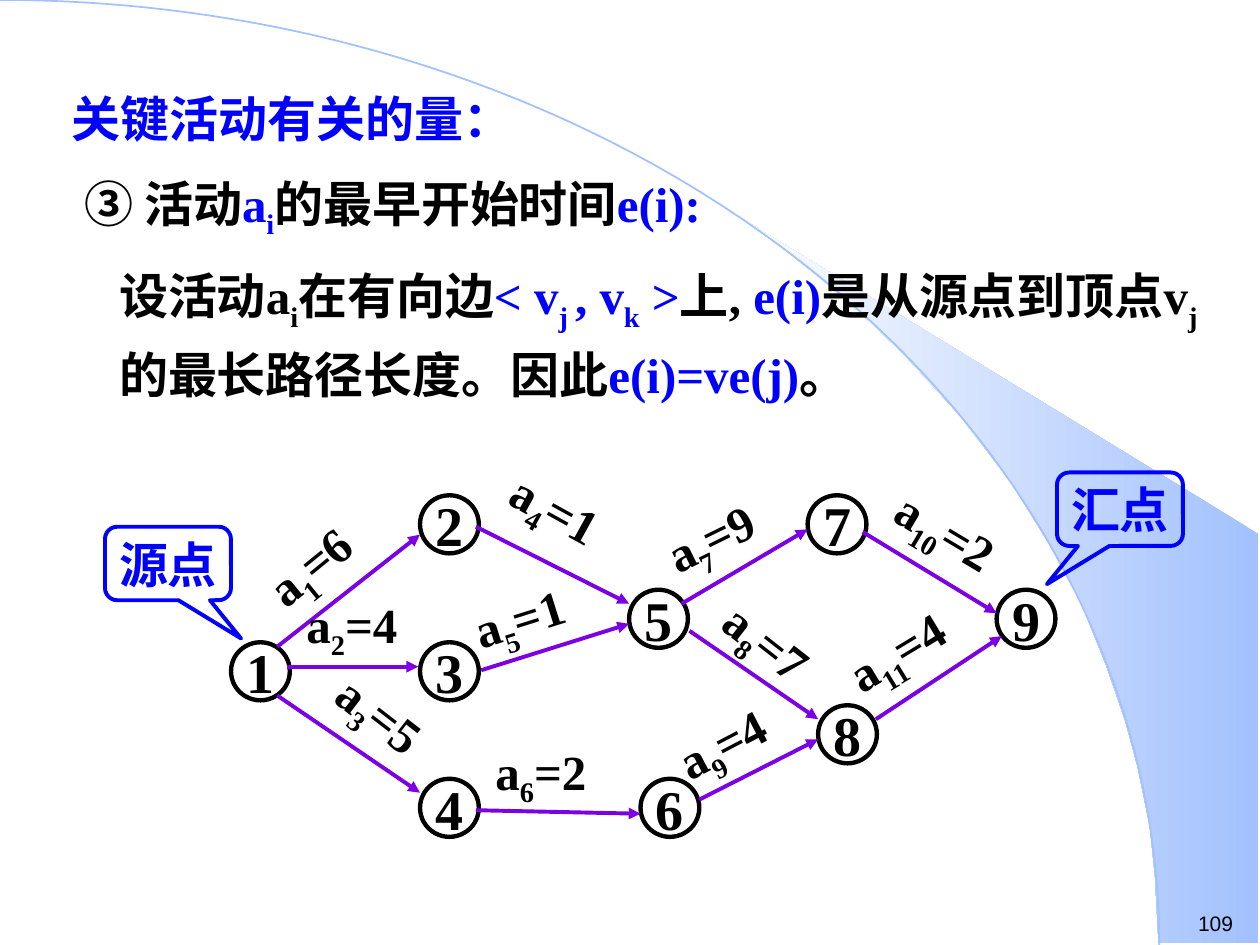
from dataclasses import dataclass

from lxml import etree
from pptx import Presentation
from pptx import util as u
from pptx.dml import color
from pptx.enum import shapes, text
from pptx.oxml import ns


@dataclass(frozen=True)
class Theme:
    """Colours, fonts and type sizes of the slide."""
    ink: str = "000000"
    accent: str = "0000FF"
    arrow: str = "7B00E4"
    sky: str = "A2C1FE"
    pale: str = "FEFEFE"
    serif: str = "Times New Roman"
    sans: str = "Arial"
    body: int = 28
    node: int = 32
    small: int = 12


THEME = Theme()
KIND = shapes.MSO_SHAPE
LABEL = (102, 45)
NODE = (33.6, 33.2)
CALLOUT = (72, 42)

HEADING = [("关键活动有关的量：", THEME.accent, False)]
TOPIC = [
    ("③ 活动", THEME.ink, False), ("a", THEME.accent, False),
    ("i", THEME.accent, True), ("的最早开始时间", THEME.ink, False),
    ("e(i):", THEME.accent, False),
]
DEFINITION = [
    ("设活动a", THEME.ink, False), ("i", THEME.ink, True),
    ("在有向边", THEME.ink, False), ("< v", THEME.accent, False),
    ("j ", THEME.accent, True), (", v", THEME.accent, False),
    ("k", THEME.accent, True), (" >", THEME.accent, False),
    ("上, ", THEME.ink, False), ("e(i)", THEME.accent, False),
    ("是从源点到顶点v", THEME.ink, False), ("j", THEME.ink, True),
    ("的最长路径长度。因此", THEME.ink, False),
    ("e(i)=ve(j)", THEME.accent, False), ("。", THEME.ink, False),
]
NODES = [
    (78, 101), (186, 17), (186, 101), (186, 179), (305.5, 71),
    (312, 179), (407.5, 17), (413.5, 137), (515.5, 71),
]
ACTIVITIES = [
    (6, (104.5, 103.5, 186, 39.5), (87, 25), -39.1),
    (4, (110, 115, 185, 115), (114, 70), 0),
    (5, (104.5, 131.5, 186, 187), (125.5, 132), 37.7),
    (1, (218, 35, 305.5, 79), (227.5, 12.5), 28.9),
    (1, (221, 117, 305.5, 90.5), (209.5, 61), -17.6),
    (2, (218, 197, 312, 199), (222, 154), 0),
    (9, (335.5, 79, 407.5, 36.5), (318, 12.5), -26.2),
    (7, (340, 94.5, 413.5, 145), (346.5, 90.5), 38),
    (4, (345.5, 191, 413.5, 156.5), (324.5, 129.5), -27.6),
    (2, (439, 38, 515.5, 84.5), (446.5, 23.5), 30.9),
    (4, (446.5, 145, 518.5, 97.5), (420.5, 78), -31.2),
]
SWOOSH = [
    (662.4, 538.6), (719.3, 539.3), (719.3, 304.6), (424, 124.6),
    (449.3, 143.3), (470.2, 159.8), (493.2, 180), (515.5, 201.6),
    (548.6, 237.6), (578.2, 276.5), (599, 310.3), (617.8, 344.9),
    (632.2, 380.2), (643, 411.8), (650.2, 438.5), (657.4, 472.3),
    (660.2, 501.1), (662.4, 538.6),
]


def rgb(value):
    """Return the colour for a hex string."""
    return color.RGBColor.from_string(value)


def points(*values):
    """Turn numbers into point lengths."""
    return [u.Pt(value) for value in values]


def add_span(para, words, *, size=THEME.body, ink=THEME.ink, bold=True,
             font=THEME.serif, sub=False):
    """Append formatted words to a paragraph."""
    span = para.add_run()
    span.text = words
    span.font.size = u.Pt(size)
    span.font.bold = bold
    span.font.name = font
    span.font.color.rgb = rgb(ink)
    if sub:
        span.font._element.set("baseline", "-25000")


def add_text_box(page, left, top, width, height):
    """Add a wrapping text box."""
    box = page.shapes.add_textbox(*points(left, top, width, height))
    box.text_frame.word_wrap = True
    return box


def add_outline(page, kind, place, ink, weight):
    """Add an unfilled preset shape."""
    shape = page.shapes.add_shape(kind, *points(*place))
    shape.shadow.inherit = False
    shape.fill.background()
    shape.line.color.rgb = rgb(ink)
    shape.line.width = u.Pt(weight)
    return shape


def add_caption(shape, words, **form):
    """Centre words inside a shape."""
    frame = shape.text_frame
    frame.margin_left = frame.margin_right = 0
    frame.margin_top = frame.margin_bottom = 0
    frame.word_wrap = False
    frame.vertical_anchor = text.MSO_ANCHOR.MIDDLE
    frame.paragraphs[0].alignment = text.PP_ALIGN.CENTER
    add_span(frame.paragraphs[0], words, **form)


def add_arrow(page, start_x, start_y, end_x, end_y):
    """Add a line with a triangular head at its end."""
    arrow = page.shapes.add_connector(
        shapes.MSO_CONNECTOR.STRAIGHT, *points(start_x, start_y, end_x, end_y))
    arrow.line.color.rgb = rgb(THEME.arrow)
    arrow.line.width = u.Pt(2.25)
    etree.SubElement(arrow.line._get_or_add_ln(), ns.qn("a:tailEnd"), type="triangle")
    etree.SubElement(arrow._element.spPr, ns.qn("a:effectLst"))


def draw_backdrop(page, width, height):
    """Draw the shaded swoosh and the large arc."""
    builder = page.shapes.build_freeform(*SWOOSH[0], scale=u.Pt(1))
    builder.add_line_segments(SWOOSH[1:], close=True)
    swoosh = builder.convert_to_shape()
    swoosh.shadow.inherit = False
    swoosh.line.fill.background()
    swoosh.fill.gradient()
    swoosh.fill.gradient_angle = 180
    for stop, tint, place in zip(swoosh.fill.gradient_stops, (THEME.sky, THEME.pale), (0, 1)):
        stop.color.rgb = rgb(tint)
        stop.position = place
    reach = 0.92 * width
    add_outline(page, KIND.ARC, (-reach, 0, 2 * reach, 2 * height), THEME.sky, 1)


def draw_body(page, left, top, width, height):
    """Write the heading, the topic and its definition."""
    frame = add_text_box(page, left, top, width, height).text_frame
    for index, (spans, indent) in enumerate([(HEADING, 0), (TOPIC, 7), (DEFINITION, 27)]):
        para = frame.add_paragraph() if index else frame.paragraphs[0]
        para.line_spacing = 1.2
        para.space_before = u.Pt(7 if index else 0)
        para._p.get_or_add_pPr().set("marL", str(u.Pt(indent)))
        for words, ink, sub in spans:
            add_span(para, words, ink=ink, sub=sub)


def draw_network(page, left, top):
    """Draw the nodes, activities and end callouts."""
    for number, (x, y) in enumerate(NODES, 1):
        node = add_outline(page, KIND.OVAL, (left + x, top + y, *NODE), THEME.ink, 2.5)
        add_caption(node, str(number), size=THEME.node)
    for number, (cost, ends, (x, y), turn) in enumerate(ACTIVITIES, 1):
        add_arrow(page, left + ends[0], top + ends[1], left + ends[2], top + ends[3])
        label = add_text_box(page, left + x, top + y, *LABEL)
        label.rotation = turn
        para = label.text_frame.paragraphs[0]
        add_span(para, "a")
        add_span(para, str(number), sub=True)
        add_span(para, f"={cost}")
    for words, x, y, lean in [("源点", 6, 35, 0.58), ("汇点", 550, 4, -0.58)]:
        callout = add_outline(page, KIND.ROUNDED_RECTANGULAR_CALLOUT,
                              (left + x, top + y, *CALLOUT), THEME.accent, 2.25)
        callout.adjustments[0] = lean
        callout.adjustments[1] = 1.02
        add_caption(callout, words, ink=THEME.accent)


def draw_page_number(page, left, top, width, height):
    """Write the page number."""
    box = add_text_box(page, left, top, width, height)
    add_span(box.text_frame.paragraphs[0], "109", size=THEME.small, bold=False, font=THEME.sans)


def main():
    """Build and save the deck."""
    deck = Presentation()
    deck.slide_width, deck.slide_height = points(720, 540)
    page = deck.slides.add_slide(deck.slide_layouts[6])
    draw_backdrop(page, 720, 540)
    draw_body(page, 34, 40.5, 658, 201.5)
    draw_network(page, 54, 266)
    draw_page_number(page, 677.5, 517, 42.5, 21.5)
    deck.save("out.pptx")


if __name__ == "__main__":
    main()
